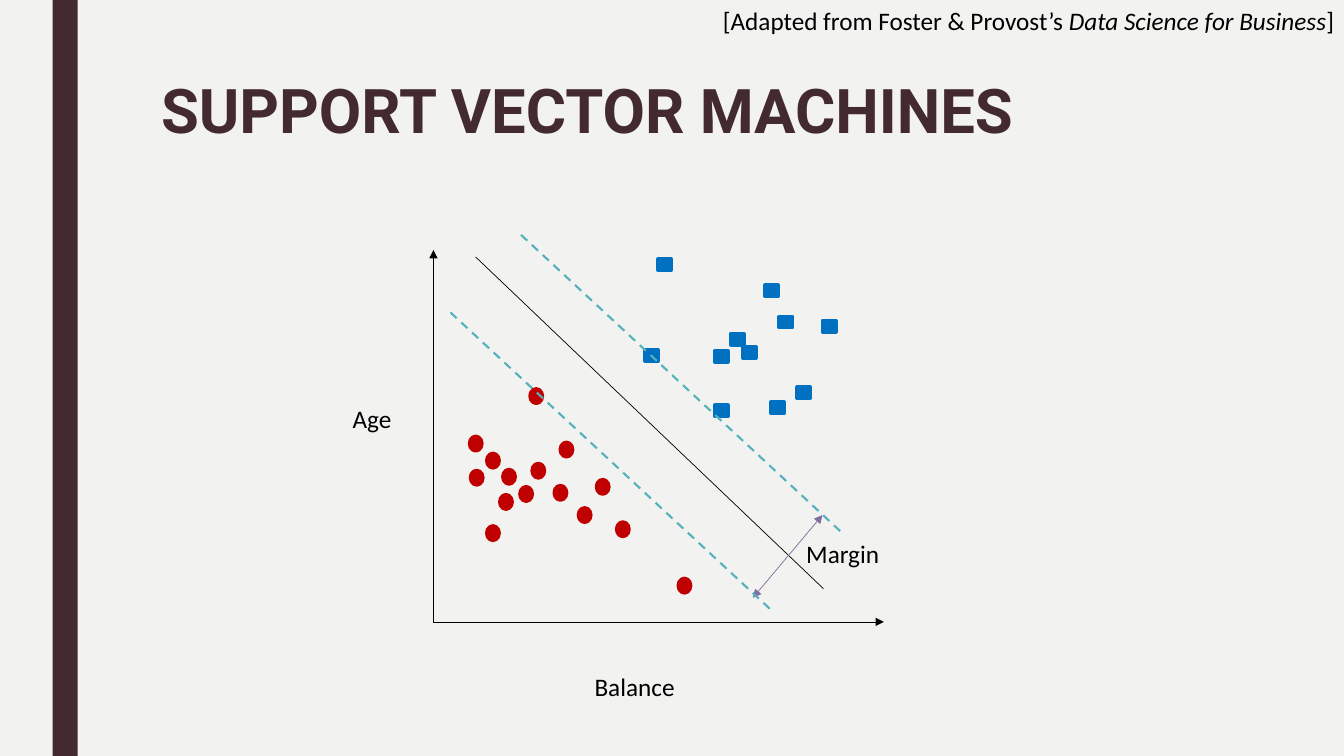
from lxml.etree import SubElement
from pptx import Presentation
from pptx.dml.color import RGBColor
from pptx.enum.dml import MSO_LINE
from pptx.enum.shapes import MSO_CONNECTOR, MSO_SHAPE
from pptx.enum.text import PP_ALIGN
from pptx.oxml.ns import qn
from pptx.util import Pt

BACKGROUND = RGBColor(0xF2, 0xF2, 0xF0)
PLUM = RGBColor(0x43, 0x2A, 0x30)
BLACK = RGBColor(0, 0, 0)
RED = RGBColor(0xC0, 0, 0)
BLUE = RGBColor(0, 0x70, 0xC0)
TEAL = RGBColor(0x55, 0xB1, 0xBC)
PURPLE = RGBColor(0x83, 0x6C, 0x9F)

LABEL_HEIGHT = 29
ORIGIN = (309.6, 444.2)
CIRCLE_SIZE = (8.6, 10.1)
SQUARE_SIZE = (9.4, 7.9)
MARGIN_SHIFT = (50.4, -55.4)

# Left and top of each data point
RED_POINTS = [
    (335.5, 311.8), (347.8, 324), (336.2, 336.2), (347.8, 375.8),
    (380.2, 331.2), (396, 347), (400.3, 316.1), (440.6, 373),
    (413.3, 362.9), (378.7, 277.9), (426.2, 342.7), (484.6, 413.3),
    (359.3, 335.5), (371.5, 347.8), (357.1, 353.5),
]
BLUE_POINTS = [
    (460.8, 249.8), (510.5, 289.4), (510.5, 250.6), (522, 238.3),
    (550.8, 287.3), (530.6, 247.7), (569.5, 276.5), (556.6, 226.1),
    (470.2, 185), (587.5, 229), (546.5, 203.8),
]


def add_text(slide, text, left, top, width, height=LABEL_HEIGHT, size=18,
             font="Calibri", color=BLACK, bold=False, align=PP_ALIGN.LEFT,
             line_spacing=None):
    """Add a text box; text split by * alternates upright and italic."""
    tf = slide.shapes.add_textbox(
        Pt(left), Pt(top), Pt(width), Pt(height)).text_frame
    tf.word_wrap = True
    p = tf.paragraphs[0]
    p.alignment = align
    p.line_spacing = line_spacing
    for i, part in enumerate(text.split("*")):
        r = p.add_run()
        r.text = part
        r.font.name = font
        r.font.size = Pt(size)
        r.font.bold = bold
        r.font.italic = i % 2 == 1
        r.font.color.rgb = color


def add_filled(slide, kind, left, top, width, height, color, outline=0):
    sp = slide.shapes.add_shape(kind, Pt(left), Pt(top), Pt(width), Pt(height))
    sp.shadow.inherit = False
    sp.fill.solid()
    sp.fill.fore_color.rgb = color
    if outline:
        sp.line.color.rgb = color
        sp.line.width = Pt(outline)
    else:
        sp.line.fill.background()


def add_points(slide, kind, points, size, color):
    for left, top in points:
        add_filled(slide, kind, left, top, *size, color, outline=2.75)


def add_line(slide, start, end, color=BLACK, width=0.5, dash=None, arrows=()):
    """Draw a line; arrows names the ends (headEnd, tailEnd) with a triangle."""
    line = slide.shapes.add_connector(
        MSO_CONNECTOR.STRAIGHT, *(Pt(v) for v in (*start, *end)))
    line.line.color.rgb = color
    line.line.width = Pt(width)
    if dash:
        line.line.dash_style = dash
    spPr = line._element.spPr
    for name in arrows:
        SubElement(spPr.find(qn("a:ln")), qn("a:" + name), type="triangle")
    SubElement(spPr, qn("a:effectLst"))


def add_margin_edges(slide):
    start, end = (321.8, 223.2), (552.2, 437)
    for n in range(2):
        ends = [(x + n * MARGIN_SHIFT[0], y + n * MARGIN_SHIFT[1])
                for x, y in (start, end)]
        add_line(slide, *ends, color=TEAL, width=1.5, dash=MSO_LINE.DASH)


def main():
    prs = Presentation()
    prs.slide_width, prs.slide_height = Pt(960), Pt(540)
    slide = prs.slides.add_slide(prs.slide_layouts[6])
    slide.background.fill.solid()
    slide.background.fill.fore_color.rgb = BACKGROUND

    add_filled(slide, MSO_SHAPE.RECTANGLE, 37.5, 0, 18, 540, PLUM)
    add_text(slide, "SUPPORT VECTOR MACHINES", 108, 54, 756, 116.6, size=44,
             font="Roboto", color=PLUM, bold=True, line_spacing=0.89)
    add_text(slide, "[Adapted from Foster & Provost’s *Data Science for Business*]",
             322, 0, 638, align=PP_ALIGN.RIGHT)

    for axis_end in ((309.6, 178.6), (631.4, 444.2)):
        add_line(slide, ORIGIN, axis_end, arrows=["tailEnd"])
    for label, left, top in (("Age", 244.8, 284.6), ("Balance", 417.6, 476),
                             ("Margin", 568.8, 380.9)):
        add_text(slide, label, left, top, 78.5)

    add_line(slide, (339.8, 183.6), (588.2, 420.5))
    add_points(slide, MSO_SHAPE.OVAL, RED_POINTS, CIRCLE_SIZE, RED)
    add_points(slide, MSO_SHAPE.RECTANGLE, BLUE_POINTS, SQUARE_SIZE, BLUE)
    add_line(slide, (537.8, 427), (587.5, 367.9), color=PURPLE,
             arrows=["headEnd", "tailEnd"])
    add_margin_edges(slide)

    prs.save("out.pptx")


if __name__ == "__main__":
    main()
